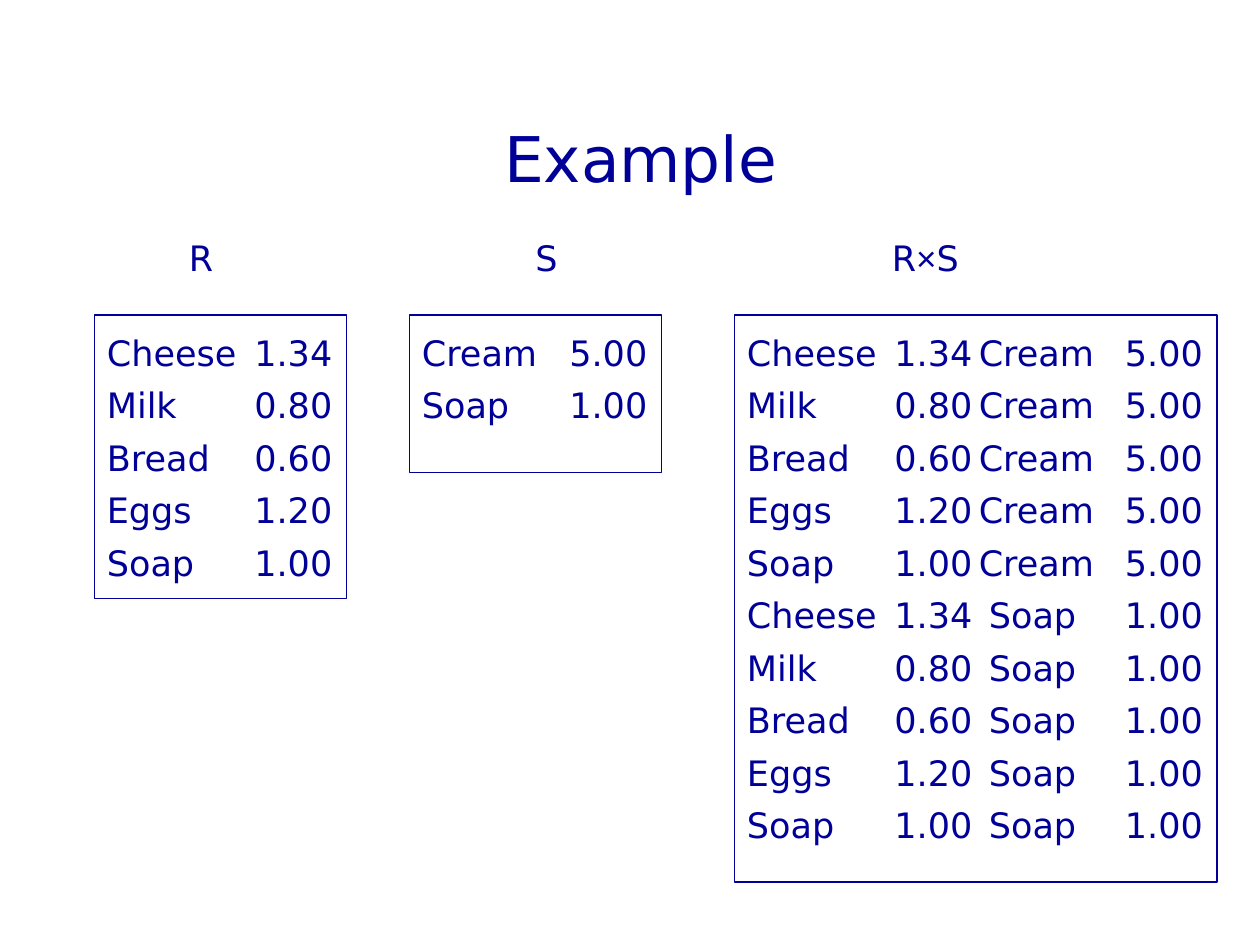
from itertools import product

from pptx import Presentation
from pptx.dml.color import RGBColor
from pptx.enum.shapes import MSO_SHAPE
from pptx.enum.text import MSO_ANCHOR, MSO_AUTO_SIZE, PP_ALIGN
from pptx.util import Inches, Pt

NAVY = RGBColor(0x00, 0x00, 0x99)
WHITE = RGBColor(0xFF, 0xFF, 0xFF)
RECTANGLE = MSO_SHAPE.RECTANGLE
MIDDLE = MSO_ANCHOR.MIDDLE
CENTER = PP_ALIGN.CENTER
NO_FIT = MSO_AUTO_SIZE.NONE
GROW = MSO_AUTO_SIZE.SHAPE_TO_FIT_TEXT

TEXT_FONT = "DejaVu Sans"
SYMBOL_FONT = "Arial"
TITLE_FORMAT = {"size": Pt(36), "name": TEXT_FONT}
LABEL_FORMAT = {"size": Pt(20), "name": TEXT_FONT}
SYMBOL_FORMAT = {**LABEL_FORMAT, "name": SYMBOL_FONT}

NAME_WIDTH, WIDE_NAME_WIDTH, PRICE_WIDTH = 1.17, 1.29, 1.08
ROW_PITCH = 5 / 12
ROW_INSET = 0.08
SECOND_NAME_OFFSETS = {"Cream": 1.84, "Soap": 1.92}
SECOND_PRICE_OFFSET = 3

RELATION_R = [("Cheese", "1.34"), ("Milk", "0.80"), ("Bread", "0.60"),
              ("Eggs", "1.20"), ("Soap", "1.00")]
RELATION_S = [("Cream", "5.00"), ("Soap", "1.00")]


def add_span(para, text, formats):
    """Append a navy run with the given font formats."""
    span = para.add_run()
    span.text = text
    for attribute, value in formats.items():
        setattr(span.font, attribute, value)
    span.font.color.rgb = NAVY


def add_label(page, left, top, width, spans):
    """Add a one-line text box made of (text, formats) spans."""
    box = page.shapes.add_textbox(Inches(left), Inches(top), Inches(width), Inches(0.44))
    frame = box.text_frame
    frame.word_wrap = True
    frame.auto_size = GROW
    for text, formats in spans:
        add_span(frame.paragraphs[0], text, formats)


def add_title(page, left, top, width, height):
    """Place and format the title placeholder."""
    title = page.shapes.title
    title.left, title.top = Inches(left), Inches(top)
    title.width, title.height = Inches(width), Inches(height)
    frame = title.text_frame
    frame.auto_size = NO_FIT
    frame.vertical_anchor = MIDDLE
    para = frame.paragraphs[0]
    para.alignment = CENTER
    para.line_spacing = 0.9
    add_span(para, "Example", TITLE_FORMAT)


def add_frame(page, left, top, width, height):
    """Draw the outlined rectangle that holds a relation."""
    frame = page.shapes.add_shape(RECTANGLE, Inches(left), Inches(top),
                                  Inches(width), Inches(height))
    frame.shadow.inherit = False
    frame.fill.solid()
    frame.fill.fore_color.rgb = WHITE
    frame.line.color.rgb = NAVY
    frame.line.width = Pt(0.75)


def add_pairs(page, left, top, pairs, name_offsets, price_offset):
    """List name and price pairs in two columns, one pair a row."""
    for row, (name, price) in enumerate(pairs):
        y = top + ROW_INSET + row * ROW_PITCH
        width = WIDE_NAME_WIDTH if len(name) > 5 else NAME_WIDTH
        add_label(page, left + name_offsets.get(name, 0), y, width, [(name, LABEL_FORMAT)])
        add_label(page, left + price_offset, y, PRICE_WIDTH, [(price, LABEL_FORMAT)])


def add_relation(page, left, top, width, height, pairs):
    """Draw a framed relation of name and price pairs."""
    add_frame(page, left, top, width, height)
    add_pairs(page, left, top, pairs, {}, NAME_WIDTH)


def add_cross_product(page, left, top, width, height):
    """Draw the framed product, each row of S against every row of R."""
    rows = list(product(RELATION_S, RELATION_R))
    add_relation(page, left, top, width, height, [first for _, first in rows])
    add_pairs(page, left, top, [second for second, _ in rows],
              SECOND_NAME_OFFSETS, SECOND_PRICE_OFFSET)


def add_headings(page, top):
    """Name the two relations and their product."""
    add_label(page, 1.4, top, 0.58, [("R", LABEL_FORMAT)])
    add_label(page, 4.15, top, 0.58, [("S", LABEL_FORMAT)])
    add_label(page, 6.98, top, 1.17,
              [("R", LABEL_FORMAT), ("×", SYMBOL_FORMAT), ("S", LABEL_FORMAT)])


def main():
    """Build the slide and save the deck."""
    deck = Presentation()
    deck.slide_width, deck.slide_height = Inches(10), Inches(7.5)
    page = deck.slides.add_slide(deck.slide_layouts.get_by_name("Title Only"))
    add_title(page, 0.99, 0.91, 8.19, 0.75)
    add_relation(page, 0.75, 2.5, 2, 2.25, RELATION_R)
    add_relation(page, 3.25, 2.5, 2, 1.25, RELATION_S)
    add_cross_product(page, 5.83, 2.5, 3.83, 4.5)
    add_headings(page, 1.83)
    deck.save("out.pptx")


if __name__ == "__main__":
    main()
